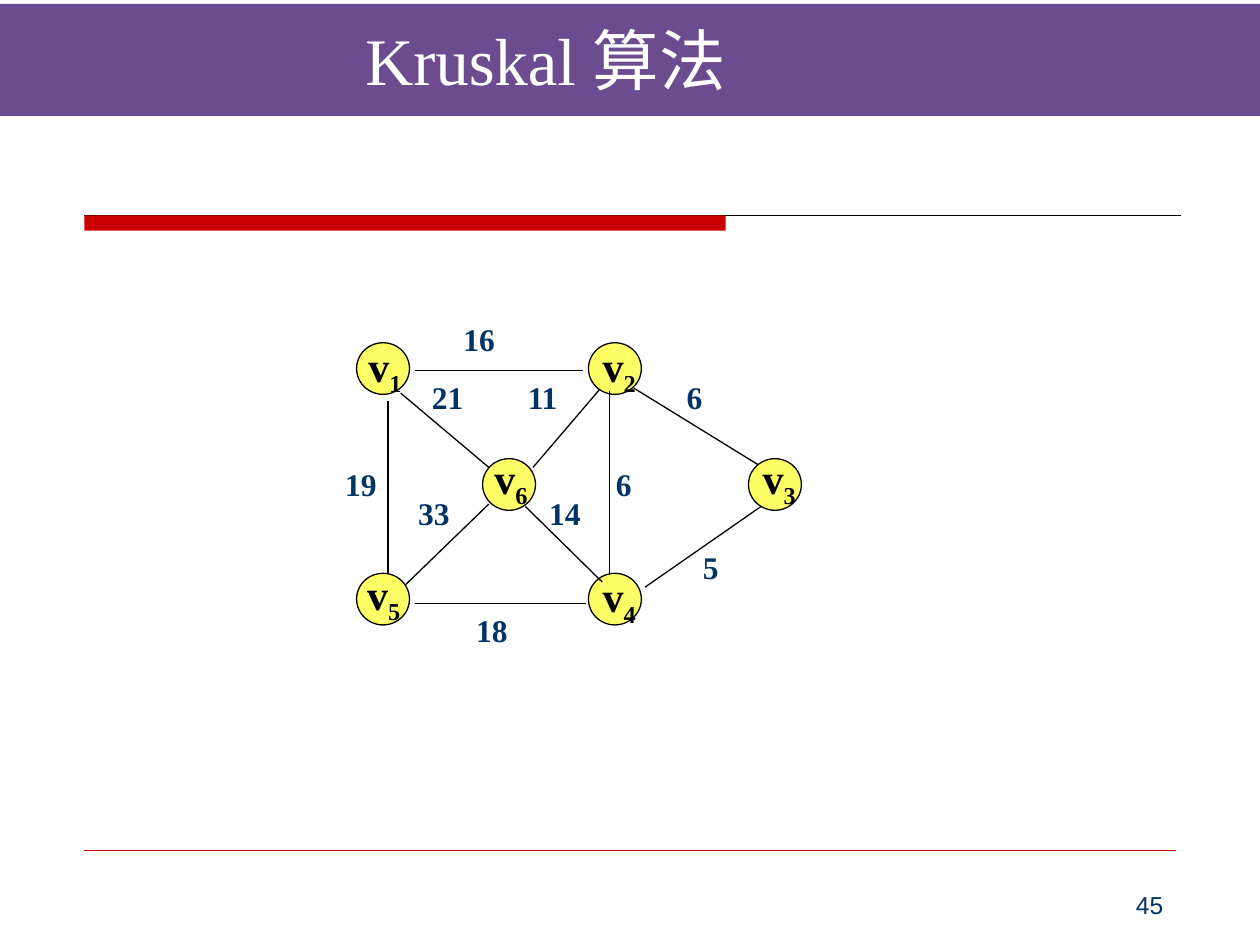
from lxml.etree import SubElement
from pptx import Presentation
from pptx.dml.color import RGBColor
from pptx.enum.shapes import MSO_CONNECTOR as Link, MSO_SHAPE as Kind
from pptx.enum.text import MSO_ANCHOR as Anchor, MSO_AUTO_SIZE as Auto, PP_ALIGN as Align
from pptx.oxml.ns import qn
from pptx.util import Inches, Pt

WHITE = RGBColor(0xFF, 0xFF, 0xFF)
BLACK = RGBColor(0, 0, 0)
RED = RGBColor(0xCC, 0, 0)
PURPLE = RGBColor(0x6C, 0x4C, 0x8F)
YELLOW = RGBColor(0xFF, 0xFF, 0x66)
NAVY = RGBColor(0, 0x33, 0x66)
SERIF = "Times New Roman"
WIDE, HIGH = 10, 7.5
CELL = 0.1  # side of a graph grid cell, in inches

# Node: column, row, then the shift and width of its name
NODES = {
    "1": (0, 0, 0.2, -0.2, 4.1),
    "2": (18.4, 0, 0.7, -0.2, 3.5),
    "3": (31.1, 9.2, 0.7, -0.5, 3.5),
    "4": (18.4, 18.3, 0.7, -0.2, 3.5),
    "5": (0, 18.3, 0.4, -0.4, 3.5),
    "6": (10, 9.2, 0.5, -0.5, 3.5),
}
# Edge: weight, start, end, place of the weight
EDGES = [
    ("16", (4.6, 2.2), (18, 2.2), (7.5, -2.3)),
    ("19", (2.5, 4.6), (2.5, 18.3), (-1.9, 9.2)),
    ("6", (20.1, 3.8), (20.1, 18.3), (19.6, 9.2)),
    ("18", (4.6, 20.7), (18.2, 20.7), (8.5, 20.8)),
    ("21", (3.5, 4), (10.5, 9.9), (5, 2.3)),
    ("14", (13.4, 13), (19.5, 19), (14.3, 11.5)),
    ("11", (14, 9.9), (19.3, 3.7), (12.6, 2.3)),
    ("33", (10.5, 12.8), (3.9, 19.2), (3.9, 11.5)),
    ("6", (22, 3.6), (31.9, 9.7), (25.2, 2.3)),
    ("5", (22.9, 19.4), (32.1, 13), (26.5, 15.8)),
]


def style(run, size, color, name=SERIF, bold=False):
    font = run.font
    font.size, font.name, font.bold = Pt(size), name, bold
    font.color.rgb = color


def shape(slide, kind, box, fill, line=None):
    item = slide.shapes.add_shape(kind, *map(Inches, box))
    item.shadow.inherit = False
    item.fill.solid()
    item.fill.fore_color.rgb = fill
    if line is None:
        item.line.fill.background()
    else:
        item.line.color.rgb = line
        item.line.width = Pt(0.75)


def stroke(slide, start, end, color=BLACK, width=0.75):
    item = slide.shapes.add_connector(Link.STRAIGHT, *map(Inches, (*start, *end)))
    item.line.color.rgb = color
    item.line.width = Pt(width)
    SubElement(item.element.spPr, qn("a:effectLst"))


def label(slide, box, text, align=Align.LEFT):
    frame = slide.shapes.add_textbox(*map(Inches, box)).text_frame
    frame.word_wrap = True
    frame.text = text
    frame.paragraphs[0].alignment = align
    return frame


def header(slide, box):
    left, top, width, height = box
    shape(slide, Kind.RECTANGLE, box, PURPLE)
    title = slide.shapes.title
    title.left, title.top = Inches(left + 0.15 * width), Inches(top - 0.02)
    title.width, title.height = Inches(0.8 * width), Inches(height + 0.03)
    title.element.getparent().append(title.element)  # in front of the band
    frame = title.text_frame
    frame.auto_size, frame.vertical_anchor = Auto.NONE, Anchor.MIDDLE
    frame.margin_left = Inches(0.14 * width)
    para = frame.paragraphs[0]
    para.alignment = Align.LEFT
    for text, name in (("Kruskal ", SERIF), ("算法", "DejaVu Sans")):
        run = para.add_run()
        run.text = text
        style(run, 38, WHITE, name)


def rule(slide, box):
    left, top, width, height = box
    stroke(slide, (left, top), (left + width, top))
    shape(slide, Kind.RECTANGLE, (left, top, 0.585 * width, height), RED)


def footer(slide, box):
    left, top, width, height = box
    stroke(slide, (left, top), (left + width, top), RED, 0.25)
    place = (left + 0.75 * width, top + 0.08, 0.25 * width, height - 0.08)
    frame = label(slide, place, "45", Align.RIGHT)
    frame.vertical_anchor = Anchor.BOTTOM
    style(frame.paragraphs[0].runs[0], 14, NAVY, "Arial")


def graph(slide, left, top):
    def at(col, row):
        return left + col * CELL, top + row * CELL

    # Circles with their names
    for sub, (col, row, right, down, wide) in NODES.items():
        shape(slide, Kind.OVAL, (*at(col, row), 4.2 * CELL, 4.1 * CELL), YELLOW, BLACK)
        box = (*at(col + right, row + down), wide * CELL, 4.8 * CELL)
        frame = label(slide, box, "v", Align.CENTER)
        frame.margin_left = frame.margin_right = frame.margin_top = 0
        para = frame.paragraphs[0]
        para.add_run().text = sub
        for run in para.runs:
            style(run, 24, BLACK, bold=True)
        para.runs[1].font._element.set("baseline", "-25000")

    # Edges with their weights
    for weight, start, end, place in EDGES:
        stroke(slide, at(*start), at(*end))
        frame = label(slide, (*at(*place), 6.1 * CELL, 6.9 * CELL), weight)
        style(frame.paragraphs[0].runs[0], 18, NAVY, bold=True)


def main():
    deck = Presentation()
    deck.slide_width, deck.slide_height = Inches(WIDE), Inches(HIGH)
    slide = deck.slides.add_slide(deck.slide_layouts[5])
    rule(slide, (0.67, 1.71, 8.7, 0.12))
    header(slide, (0, 0.03, WIDE, 0.89))
    footer(slide, (0.67, 0.9 * HIGH, 8.66, 0.6))
    graph(slide, 2.83, 2.72)
    deck.save("out.pptx")


if __name__ == "__main__":
    main()
